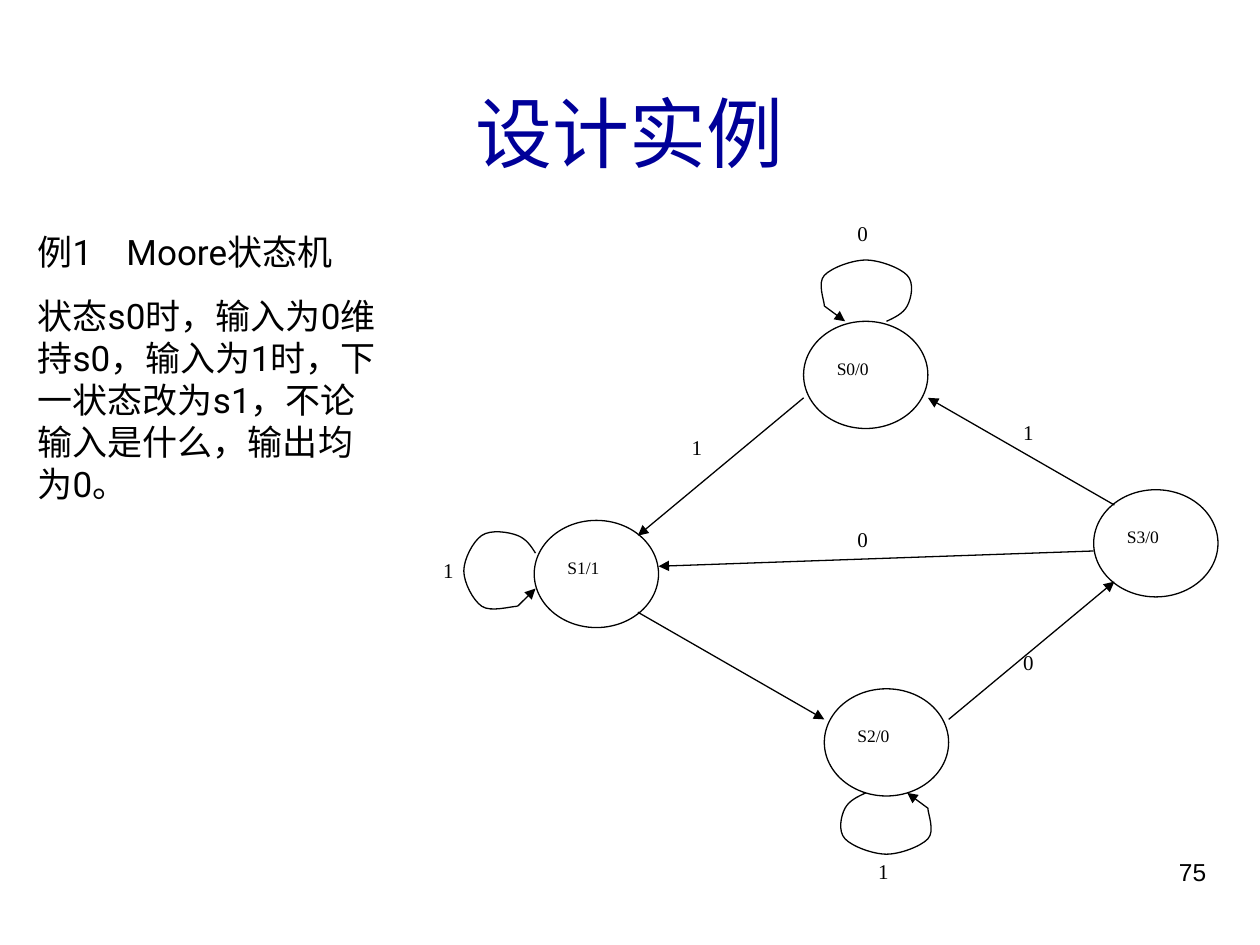
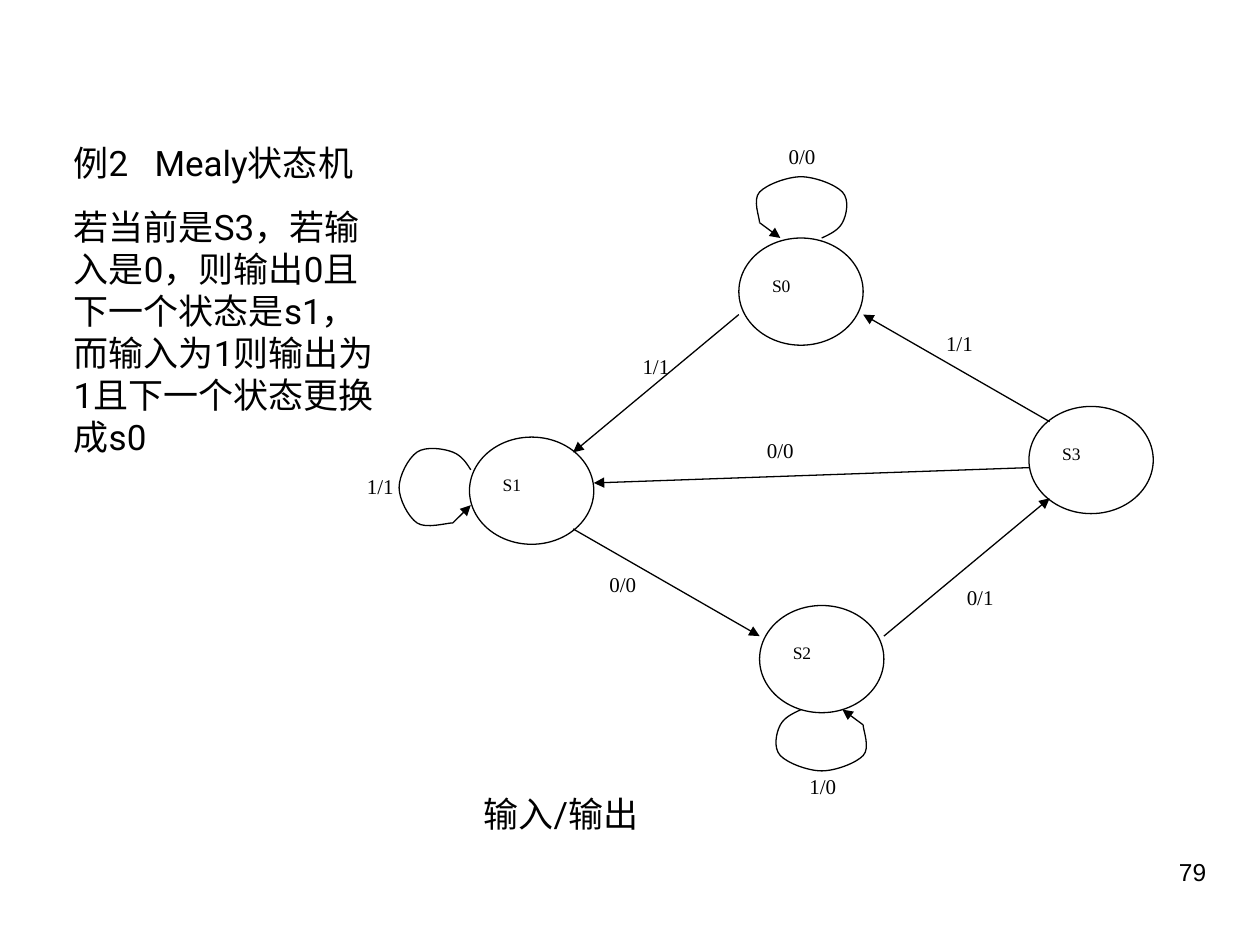
from dataclasses import dataclass

from lxml import etree
from pptx import Presentation
from pptx.dml.color import RGBColor
from pptx.enum.shapes import MSO_CONNECTOR, MSO_SHAPE
from pptx.enum.text import MSO_ANCHOR as ANCHOR, PP_ALIGN as ALIGN
from pptx.oxml.ns import qn
from pptx.util import Pt


@dataclass(frozen=True)
class Theme:
    ink: RGBColor = RGBColor(0x00, 0x00, 0x00)
    title: RGBColor = RGBColor(0x00, 0x00, 0x99)
    heading_font: str = "Arial"
    body_font: str = "Roboto"
    diagram_font: str = "Times New Roman"
    title_size: float = 44
    body_size: float = 20
    number_size: float = 14
    label_size: float = 12
    state_size: float = 10
    line_width: float = 0.75
    paragraph_gap: float = 12.5


THEME = Theme()

# The state diagram lies on a grid that starts at the left of S1 and the top of S0.
COL, ROW = 11.84, 8.75
STATE_COLS, STATE_ROWS = 6, 7
LABEL_COLS, LABEL_ROWS = 3, 4
STATES = {"S0": (13, 0), "S1": (0, 13), "S2": (14, 24), "S3": (27, 11)}
TRANSITIONS = [
    ((13, 5), (5, 14)),
    ((28, 12), (19, 5)),
    ((5, 19), (14, 26)),
    ((20, 26), (28, 17)),
    ((27, 15), (6, 16)),
]

# One loop as (along the state's edge, away from the state): a start, then Bezier triples.
LOOP_CURVE = [
    (1, 0),
    (1.4, 0.25), (1.8, 0.5), (2, 1),
    (2.2, 1.5), (2.35, 2.5), (2, 3),
    (1.65, 3.5), (0.65, 4), (0, 4),
    (-0.65, 4), (-1.65, 3.5), (-2, 3),
    (-2.35, 2.5), (-2, 1.35), (-2, 1),
]
LOOP_TIP = (-1, 0)
LOOP_SIDES = [
    lambda u, v: (16 + u, -v),                           # above S0
    lambda u, v: (0.06 - 0.865 * v, 16.3 - 1.155 * u),   # left of S1
    lambda u, v: (17 - u, 30.8 + v),                     # below S2
]


def add_run(p, text, font, size, color=THEME.ink):
    r = p.add_run()
    r.text = text
    r.font.name, r.font.size = font, Pt(size)
    r.font.color.rgb = color


def add_text(slide, box, text, font, size, align=ALIGN.LEFT):
    tf = slide.shapes.add_textbox(*map(Pt, box)).text_frame
    tf.word_wrap = True
    p = tf.paragraphs[0]
    p.alignment = align
    add_run(p, text, font, size)
    return tf


def add_page_number(slide, number):
    add_text(slide, (516.4, 486, 180, 37.5), str(number),
             THEME.heading_font, THEME.number_size, ALIGN.RIGHT)


def add_title(slide, text):
    sp = slide.shapes.title
    sp.left, sp.top, sp.width, sp.height = map(Pt, (24, 30, 672, 90))
    tf = sp.text_frame
    tf.vertical_anchor = ANCHOR.MIDDLE
    p = tf.paragraphs[0]
    p.alignment = ALIGN.CENTER
    add_run(p, text, THEME.heading_font, THEME.title_size, THEME.title)


def add_example(slide, box, heading, tab, description):
    """Place a tabbed heading with its description below."""
    tf = add_text(slide, box, heading, THEME.body_font, THEME.body_size)
    tabs = etree.SubElement(tf.paragraphs[0]._p.get_or_add_pPr(), qn("a:tabLst"))
    etree.SubElement(tabs, qn("a:tab"), pos=str(Pt(tab)), algn="l")
    p = tf.add_paragraph()
    p.space_before = Pt(THEME.paragraph_gap)
    p._p.get_or_add_pPr().set("hangingPunct", "0")
    add_run(p, description, THEME.body_font, THEME.body_size)


def set_line(line):
    line.color.rgb = THEME.ink
    line.width = Pt(THEME.line_width)


def curve_segments(sp):
    """Turn each three line segments of a freeform into one cubic Bezier."""
    segments = list(sp._element.iter(qn("a:lnTo")))
    for i in range(0, len(segments), 3):
        curve = etree.Element(qn("a:cubicBezTo"))
        segments[i].addprevious(curve)
        for segment in segments[i:i + 3]:
            curve.append(segment[0])
            segment.getparent().remove(segment)


def add_state_diagram(slide, origin, state_names, labels):
    """Draw states, transitions and loops; labels are (text, column, row)."""
    def at(col, row):
        return Pt(origin[0] + col * COL), Pt(origin[1] + row * ROW)

    def add_arrow(start, end):
        cxn = slide.shapes.add_connector(MSO_CONNECTOR.STRAIGHT, *at(*start), *at(*end))
        set_line(cxn.line)
        etree.SubElement(cxn.line._get_or_add_ln(), qn("a:tailEnd"), type="triangle")
        etree.SubElement(cxn._element.spPr, qn("a:effectLst"))

    def add_loop(side):
        points = [at(*side(*point)) for point in LOOP_CURVE]
        builder = slide.shapes.build_freeform(*points[0])
        builder.add_line_segments(points[1:], close=False)
        sp = builder.convert_to_shape()
        curve_segments(sp)
        sp.shadow.inherit = False
        sp.fill.background()
        set_line(sp.line)
        add_arrow(side(*LOOP_CURVE[-1]), side(*LOOP_TIP))

    def add_state(name, cell):
        sp = slide.shapes.add_shape(MSO_SHAPE.FLOWCHART_CONNECTOR, *at(*cell),
                                    Pt(STATE_COLS * COL), Pt(STATE_ROWS * ROW))
        sp.shadow.inherit = False
        sp.fill.background()
        set_line(sp.line)
        tf = sp.text_frame
        tf.vertical_anchor = ANCHOR.TOP
        tf.margin_left, tf.margin_top = Pt(8.6), Pt(12)
        tf.margin_right = tf.margin_bottom = 0
        p = tf.paragraphs[0]
        p.alignment = ALIGN.LEFT
        add_run(p, name, THEME.diagram_font, THEME.state_size)

    for name, cell in zip(state_names, STATES.values()):
        add_state(name, cell)
    for start, end in TRANSITIONS:
        add_arrow(start, end)
    for side in LOOP_SIDES:
        add_loop(side)
    for text, col, row in labels:
        box = (origin[0] + col * COL, origin[1] + row * ROW,
               LABEL_COLS * COL, LABEL_ROWS * ROW)
        add_text(slide, box, text, THEME.diagram_font, THEME.label_size)


def add_moore_slide(prs):
    slide = prs.slides.add_slide(prs.slide_layouts.get_by_name("Title Only"))
    add_title(slide, "设计实例")
    add_example(slide, (14.4, 128.2, 210.2, 164.2), "例1\tMoore状态机", 50.8,
                "状态s0时，输入为0维持s0，输入为1时，下一状态改为s1，"
                "不论输入是什么，输出均为0。")
    add_state_diagram(
        slide, (305.3, 183.6), ["S0/0", "S1/1", "S2/0", "S3/0"],
        [("0", 15, -7), ("1", -5, 15), ("1", 16, 34.65), ("1", 7, 7),
         ("1", 23, 6), ("0", 15, 13), ("0", 23, 21)])
    add_page_number(slide, 75)


def add_mealy_slide(prs):
    slide = prs.slides.add_slide(prs.slide_layouts.get_by_name("Blank"))
    add_example(slide, (35, 77.4, 185.8, 187.9), "例2\tMealy状态机", 46.2,
                "若当前是S3，若输入是0，则输出0且下一个状态是s1，"
                "而输入为1则输出为1且下一个状态更换成s0")
    add_state_diagram(
        slide, (268.3, 136), list(STATES),
        [("0/0", 14.8, -6.6), ("1/1", -5.55, 15), ("1/0", 15.8, 34.55),
         ("1/1", 7.75, 7.15), ("1/1", 22.4, 5.65), ("0/0", 13.75, 12.6),
         ("0/0", 6.15, 21.4), ("0/1", 23.4, 22.2)])
    add_text(slide, (269.2, 449.3, 131.8, 31.7), "输入/输出",
             THEME.body_font, THEME.body_size)
    add_page_number(slide, 79)


def main():
    prs = Presentation()
    prs.slide_width, prs.slide_height = Pt(720), Pt(540)
    add_moore_slide(prs)
    add_mealy_slide(prs)
    prs.save("out.pptx")


if __name__ == "__main__":
    main()
